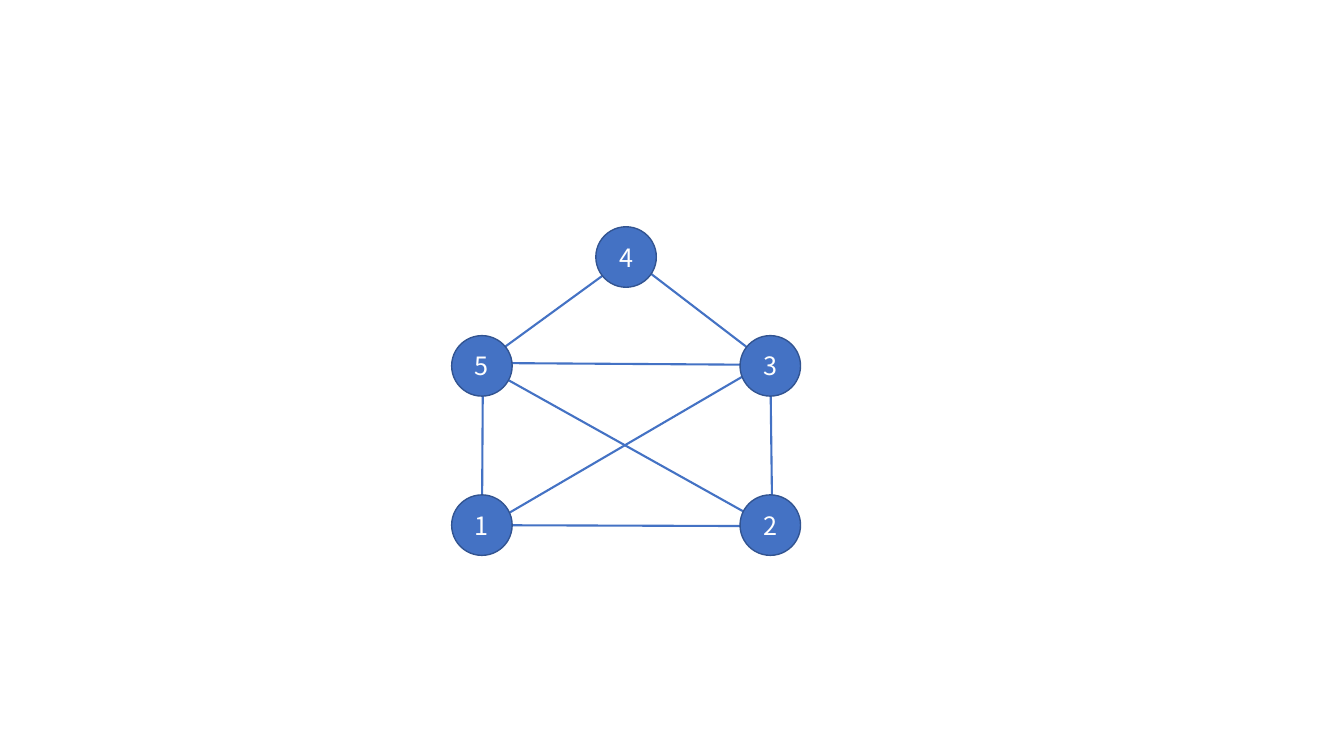
from pptx import Presentation
from pptx.dml.color import RGBColor
from pptx.enum.shapes import MSO_CONNECTOR, MSO_SHAPE
from pptx.enum.text import MSO_ANCHOR, PP_ALIGN
from pptx.oxml.ns import qn
from pptx.util import Inches, Pt
from lxml import etree

STRAIGHT = MSO_CONNECTOR.STRAIGHT
NODE = MSO_SHAPE.FLOWCHART_CONNECTOR
MIDDLE, CENTER = MSO_ANCHOR.MIDDLE, PP_ALIGN.CENTER

# Content: node label with its left and top, edges as x1, y1, x2, y2
LEFT, MID, RIGHT = 4.48, 5.91, 7.34
ROOF, UPPER, LOWER = 2.25, 3.33, 4.91
NODES = [
    ("4", MID, ROOF),
    ("3", RIGHT, UPPER),
    ("2", RIGHT, LOWER),
    ("1", LEFT, LOWER),
    ("5", LEFT, UPPER),
]
EDGES = [
    (4.79, 3.63, 7.67, 5.24),  # 5-2
    (4.79, 5.24, 7.58, 3.61),  # 1-3
    (4.79, 3.60, 6.23, 2.55),  # 5-4
    (4.78, 5.24, 4.79, 3.63),  # 1-5
    (7.66, 5.21, 7.64, 3.60),  # 2-3
    (7.65, 3.63, 6.24, 2.55),  # 3-4
    (4.73, 5.21, 7.71, 5.22),  # 1-2
    (4.67, 3.60, 7.65, 3.62),  # 5-3
]
DIAMETER = 0.6
BLUE, OUTLINE, WHITE = "4472C4", "325491", "FFFFFF"
FONT = "Noto Sans CJK SC"


def color(value):
    return RGBColor.from_string(value)


def add_edge(s, ends):
    line = s.shapes.add_connector(STRAIGHT, *[Inches(v) for v in ends])
    line.line.color.rgb = color(BLUE)
    line.line.width = Pt(1.5)
    etree.SubElement(line._element.spPr, qn("a:effectLst"))


def add_node(s, label, left, top):
    sp = s.shapes.add_shape(NODE, Inches(left), Inches(top),
                            Inches(DIAMETER), Inches(DIAMETER))
    sp.shadow.inherit = False
    sp.fill.solid()
    sp.fill.fore_color.rgb = color(BLUE)
    sp.line.color.rgb = color(OUTLINE)
    sp.line.width = Pt(1)
    tf = sp.text_frame
    tf.vertical_anchor = MIDDLE
    p = tf.paragraphs[0]
    p.text = label
    p.alignment = CENTER
    p.font.name = FONT
    p.font.size = Pt(18)
    p.font.color.rgb = color(WHITE)


def main():
    prs = Presentation()
    prs.slide_width, prs.slide_height = Inches(13.33), Inches(7.5)
    s = prs.slides.add_slide(prs.slide_layouts[6])

    # Edges lie behind the nodes
    for ends in EDGES:
        add_edge(s, ends)
    for label, left, top in NODES:
        add_node(s, label, left, top)

    prs.save("out.pptx")


if __name__ == "__main__":
    main()
